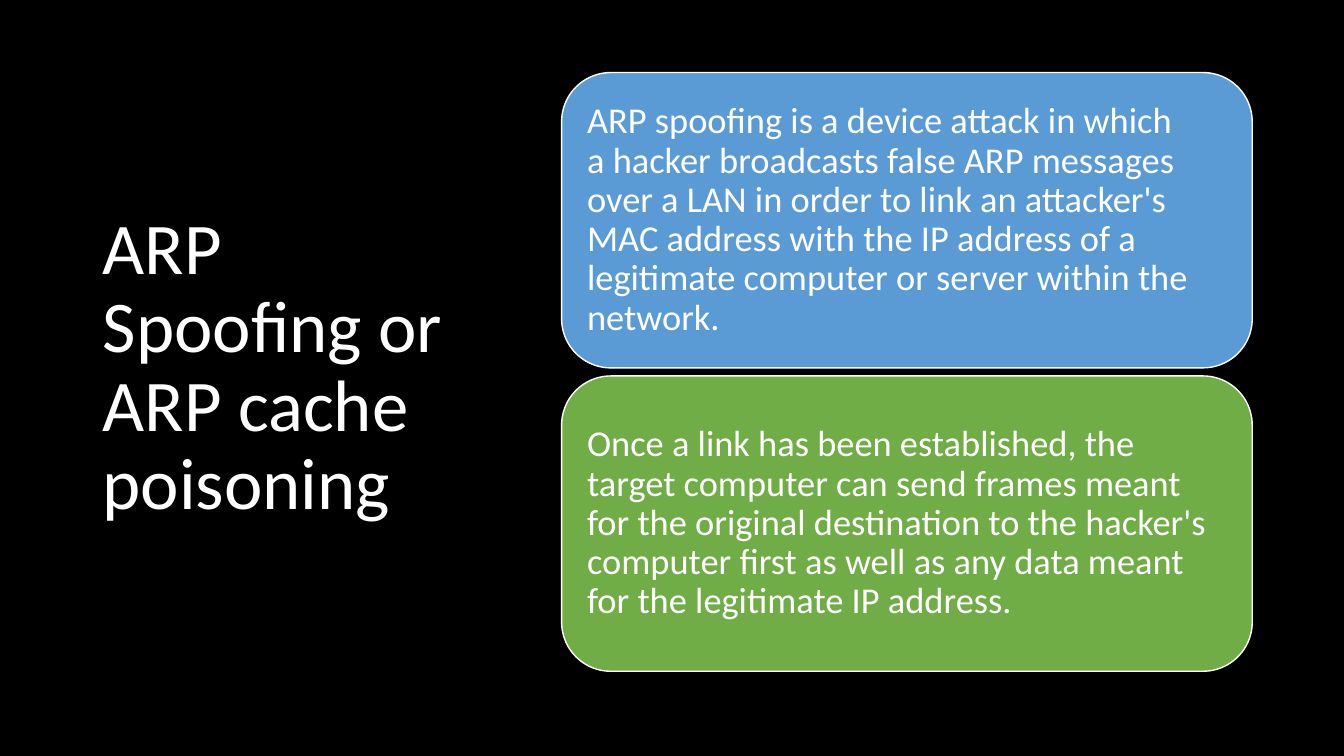
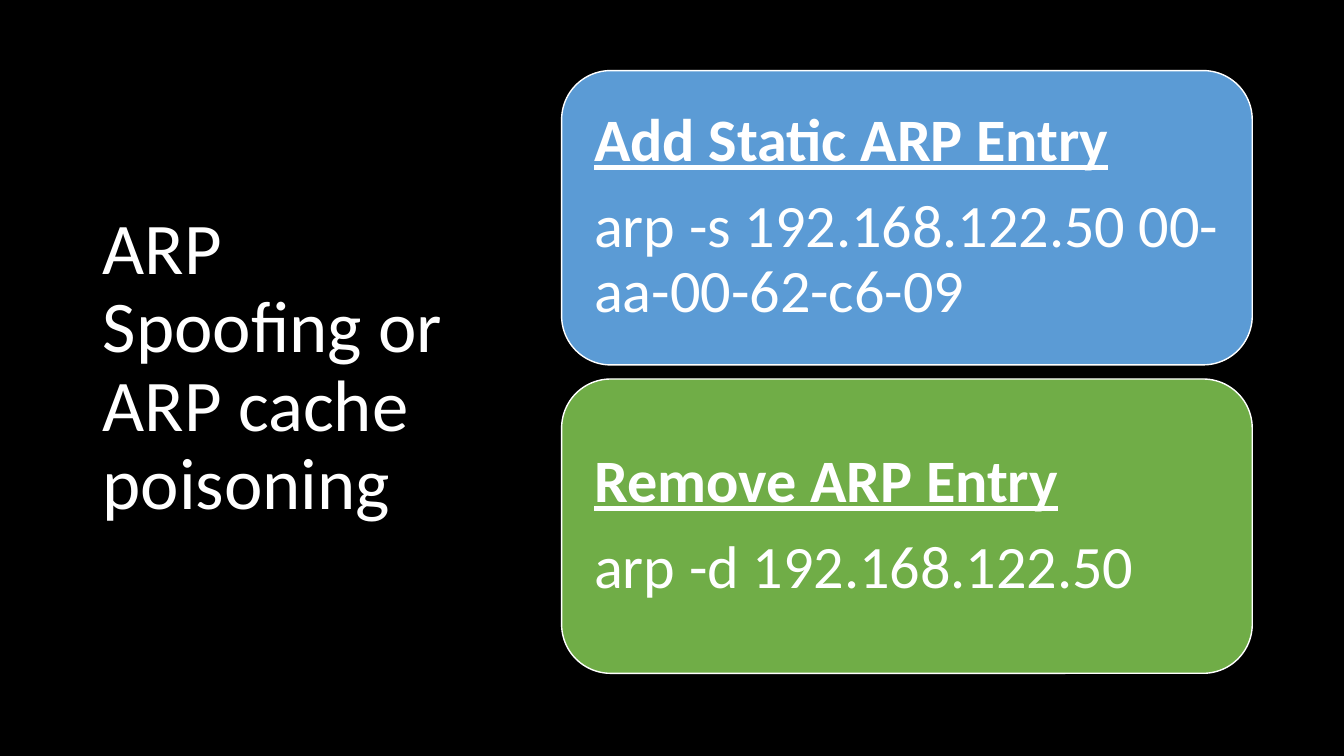
import pptx
import pptx.util
import pptx.dml.color
import pptx.enum.shapes
import pptx.enum.text

Inches = pptx.util.Inches
Pt = pptx.util.Pt
RGBColor = pptx.dml.color.RGBColor

BLACK = RGBColor(0x00, 0x00, 0x00)
WHITE = RGBColor(0xFF, 0xFF, 0xFF)
BLUE = RGBColor(0x5B, 0x9B, 0xD5)
GREEN = RGBColor(0x70, 0xAD, 0x47)

TITLE = "ARP Spoofing or ARP cache poisoning"
TITLE_BOX = (0.92, 0.61, 3.69, 6.09)
BODY_FORMAT = {"name": "Calibri", "bold": False, "underline": False}
HEADING_FORMAT = {**BODY_FORMAT, "bold": True, "underline": True}
SPACE_AFTER = 0.35
NBSP = chr(160)

EXPLANATION = {
    "box": (5.57, 0.72, 6.85, 5.94),
    "gap": 0.08,
    "inset": 0.11,
    "size": 26,
    "cards": [
        [(f"ARP spoofing is a{NBSP}device attack{NBSP}in which a{NBSP}hacker{NBSP}broadcasts "
          "false ARP messages over a LAN in order to link an attacker's MAC address with "
          "the IP address of a legitimate computer or server within the network.",
          BODY_FORMAT)],
        [("Once a link has been established, the target computer can send"
          f"{NBSP}frames{NBSP}meant for the original destination to the hacker's computer "
          "first as well as any data meant for the legitimate IP address.", BODY_FORMAT)],
    ],
}
COMMANDS = {
    "box": (5.57, 0.7, 6.85, 5.98),
    "gap": 0.14,
    "inset": 0.18,
    "size": 43,
    "cards": [
        [("Add Static ARP Entry", HEADING_FORMAT),
         ("arp -s 192.168.122.50 00-aa-00-62-c6-09", BODY_FORMAT)],
        [("Remove ARP Entry", HEADING_FORMAT),
         ("arp -d 192.168.122.50", BODY_FORMAT)],
    ],
}


def write_paragraphs(frame, paragraphs, size, space_after=0):
    """Fill a middle-anchored frame with (text, format) pairs."""
    frame.word_wrap = True
    frame.vertical_anchor = pptx.enum.text.MSO_ANCHOR.MIDDLE
    for index, (text, font_format) in enumerate(paragraphs):
        paragraph = frame.add_paragraph() if index else frame.paragraphs[0]
        paragraph.alignment = pptx.enum.text.PP_ALIGN.LEFT
        paragraph.line_spacing = 0.9
        paragraph.space_after = Pt(round(size * space_after))
        run = paragraph.add_run()
        run.text = text
        run.font.size = Pt(size)
        run.font.color.rgb = WHITE
        for attribute, value in font_format.items():
            setattr(run.font, attribute, value)


def add_title(slide, box):
    title = slide.shapes.add_textbox(*map(Inches, box))
    write_paragraphs(title.text_frame, [(TITLE, BODY_FORMAT)], 52)


def add_card(slide, box, color, paragraphs, size, inset):
    card = slide.shapes.add_shape(
        pptx.enum.shapes.MSO_SHAPE.ROUNDED_RECTANGLE, *map(Inches, box))
    card.shadow.inherit = False
    card.fill.solid()
    card.fill.fore_color.rgb = color
    card.line.color.rgb = WHITE
    card.line.width = Pt(1)
    for side in ("left", "top", "right", "bottom"):
        setattr(card.text_frame, f"margin_{side}", Inches(inset))
    write_paragraphs(card.text_frame, paragraphs, size, SPACE_AFTER)


def add_card_stack(slide, box, gap, inset, size, cards):
    """Share the height of the box equally among the cards."""
    left, top, width, height = box
    card_height = (height - gap * (len(cards) - 1)) / len(cards)
    for row, (color, paragraphs) in enumerate(zip((BLUE, GREEN), cards)):
        card_box = (left, top + row * (card_height + gap), width, card_height)
        add_card(slide, card_box, color, paragraphs, size, inset)


def add_topic_slide(deck, content):
    slide = deck.slides.add_slide(deck.slide_layouts[6])
    slide.background.fill.solid()
    slide.background.fill.fore_color.rgb = BLACK
    add_title(slide, TITLE_BOX)
    add_card_stack(slide, **content)


def main():
    deck = pptx.Presentation()
    deck.slide_width = Inches(13.33)
    deck.slide_height = Inches(7.5)
    for content in (EXPLANATION, COMMANDS):
        add_topic_slide(deck, content)
    deck.save("out.pptx")


if __name__ == "__main__":
    main()
